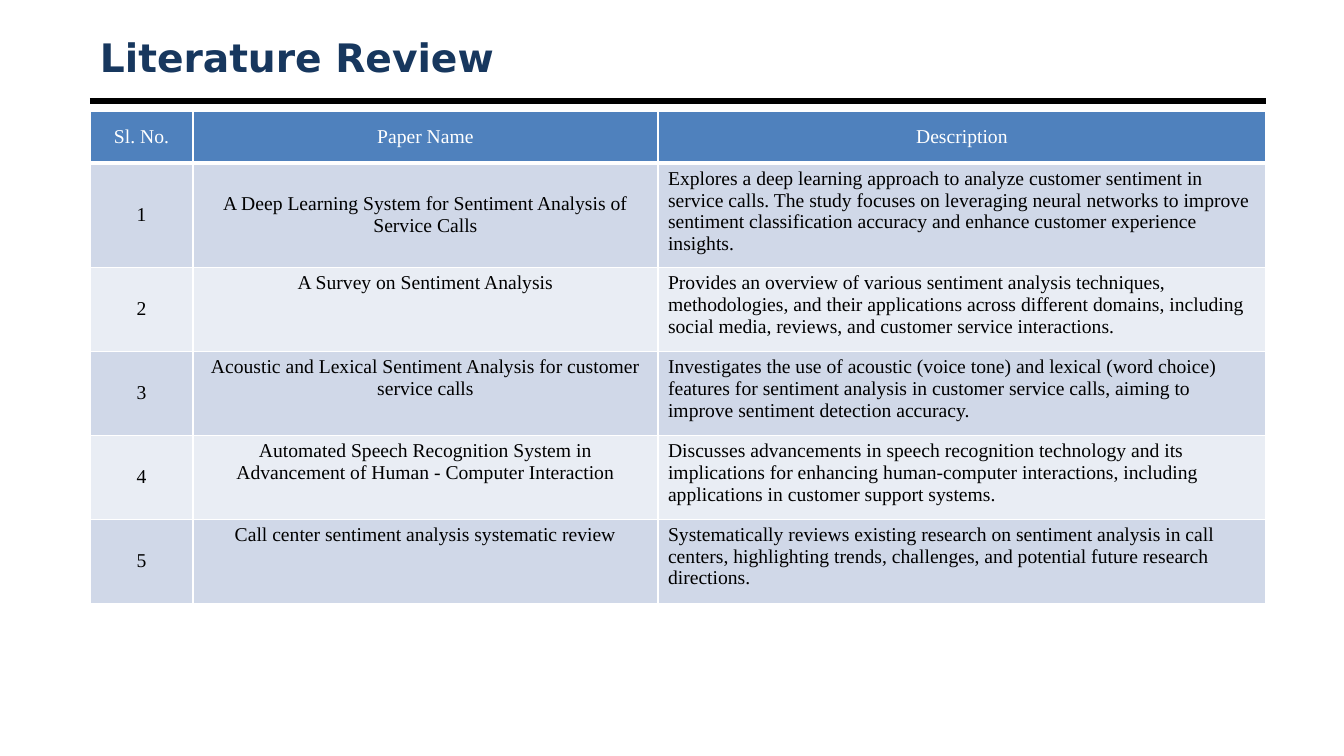
from lxml.etree import SubElement
from pptx import Presentation
from pptx.dml.color import RGBColor
from pptx.enum.shapes import MSO_CONNECTOR
from pptx.enum.text import MSO_ANCHOR as ANCHOR, PP_ALIGN as ALIGN
from pptx.oxml.ns import qn
from pptx.util import Pt

# Content
TITLE = "Literature Review"
HEADINGS = ("Sl. No.", "Paper Name", "Description")
PAPERS = [
    ("A Deep Learning System for Sentiment Analysis of Service Calls",
     "Explores a deep learning approach to analyze customer sentiment in service calls. "
     "The study focuses on leveraging neural networks to improve sentiment classification "
     "accuracy and enhance customer experience insights."),
    ("A Survey on Sentiment Analysis",
     "Provides an overview of various sentiment analysis techniques, methodologies, and "
     "their applications across different domains, including social media, reviews, and "
     "customer service interactions."),
    ("Acoustic and Lexical Sentiment Analysis for customer service calls",
     "Investigates the use of acoustic (voice tone) and lexical (word choice) features for "
     "sentiment analysis in customer service calls, aiming to improve sentiment detection "
     "accuracy."),
    ("Automated Speech Recognition System in Advancement of Human - Computer Interaction",
     "Discusses advancements in speech recognition technology and its implications for "
     "enhancing human-computer interactions, including applications in customer support "
     "systems."),
    ("Call center sentiment analysis systematic review",
     "Systematically reviews existing research on sentiment analysis in call centers, "
     "highlighting trends, challenges, and potential future research directions."),
]

# Colours and formats
NAVY = RGBColor(0x17, 0x37, 0x5E)
BLACK = RGBColor(0x00, 0x00, 0x00)
WHITE = RGBColor(0xFF, 0xFF, 0xFF)
BLUE = RGBColor(0x4F, 0x81, 0xBD)
BANDS = (RGBColor(0xD0, 0xD8, 0xE8), RGBColor(0xE9, 0xED, 0xF4))
TITLE_FONT = {"name": "DejaVu Sans", "size": Pt(28), "bold": True}
TABLE_FONT = {"name": "Times New Roman", "size": Pt(14), "bold": False}

# Layout in px
SLIDE_W, SLIDE_H = 1344, 756
LEFT, WIDTH = 90, 1176
TITLE_TOP, TITLE_H = 30, 53
RULE_Y, TABLE_TOP = 101, 111
COLUMNS = (103, 465, 608)
HEADER_H, PAPER_H = 52, 84


def px(length):
    return round(length * 914400 / 100.8)


def write(frame, text, font, color, align=ALIGN.LEFT):
    paragraph = frame.paragraphs[0]
    paragraph.alignment = align
    run = paragraph.add_run()
    run.text = text
    for key, value in font.items():
        setattr(run.font, key, value)
    run.font.color.rgb = color


def add_borders(cell, bottom):
    props = cell._tc.get_or_add_tcPr()
    for side, points in (("L", 1), ("R", 1), ("T", 1), ("B", bottom)):
        border = SubElement(props, qn(f"a:ln{side}"), w=str(Pt(points)))
        fill = SubElement(border, qn("a:solidFill"))
        SubElement(fill, qn("a:srgbClr"), val=str(WHITE))


prs = Presentation()
prs.slide_width, prs.slide_height = px(SLIDE_W), px(SLIDE_H)
slide = prs.slides.add_slide(prs.slide_layouts[6])

# Rule under the title
rule = slide.shapes.add_connector(
    MSO_CONNECTOR.STRAIGHT, px(LEFT), px(RULE_Y), px(LEFT + WIDTH), px(RULE_Y))
rule.line.color.rgb = BLACK
rule.line.width = Pt(4.5)
SubElement(rule._element.spPr, qn("a:effectLst"))

# Title
heading = slide.shapes.add_textbox(px(LEFT), px(TITLE_TOP), px(WIDTH), px(TITLE_H)).text_frame
heading.word_wrap = True
heading.vertical_anchor = ANCHOR.MIDDLE
write(heading, TITLE, TITLE_FONT, NAVY)

# Table of papers
rows = [HEADINGS] + [(str(n), *paper) for n, paper in enumerate(PAPERS, 1)]
heights = [HEADER_H] + [PAPER_H] * len(PAPERS)
review = slide.shapes.add_table(
    len(rows), len(COLUMNS), px(LEFT), px(TABLE_TOP), px(WIDTH), px(sum(heights))).table
for column, width in zip(review.columns, COLUMNS):
    column.width = px(width)

for r, (texts, height) in enumerate(zip(rows, heights)):
    review.rows[r].height = px(height)
    is_header = r == 0
    for c, text in enumerate(texts):
        cell = review.cell(r, c)
        add_borders(cell, bottom=3 if is_header else 1)
        cell.fill.solid()
        cell.fill.fore_color.rgb = BLUE if is_header else BANDS[(r - 1) % 2]
        # Header, numbers and the first paper name sit in the middle
        is_middle = is_header or c == 0 or (r, c) == (1, 1)
        cell.vertical_anchor = ANCHOR.MIDDLE if is_middle else ANCHOR.TOP
        write(cell.text_frame, text, TABLE_FONT, WHITE if is_header else BLACK,
              ALIGN.CENTER if is_header or c < 2 else ALIGN.LEFT)

prs.save("out.pptx")
